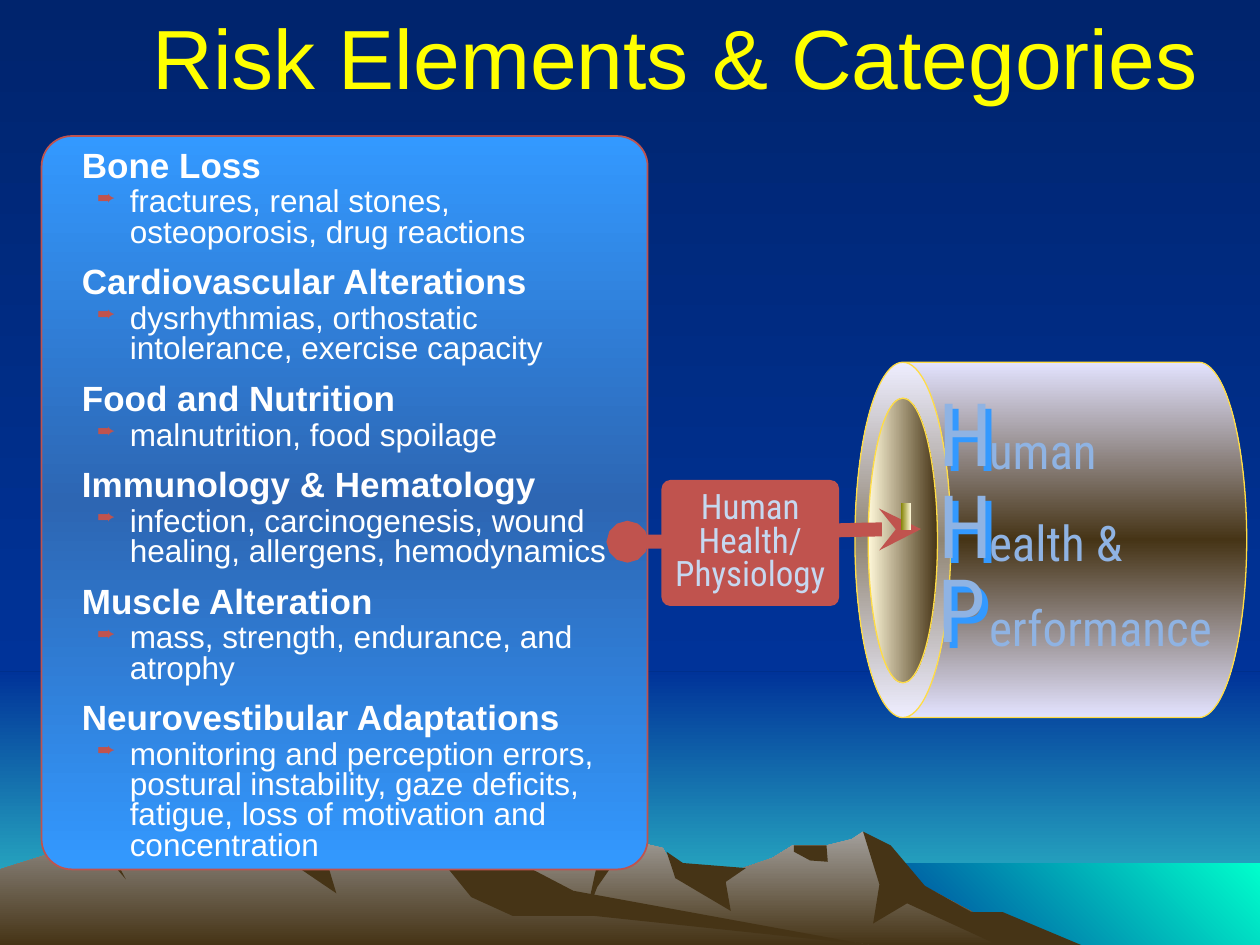
from copy import deepcopy

from pptx import Presentation
from pptx.dml.color import RGBColor
from pptx.enum.shapes import MSO_CONNECTOR, MSO_SHAPE
from pptx.enum.text import MSO_ANCHOR, PP_ALIGN
from pptx.oxml.ns import qn
from pptx.util import Emu, Pt
from lxml import etree

PX = 9144  # 100 px to the inch
WIDTH, HEIGHT = 1000, 750
SANS, CONDENSED = "Arial", "Roboto Condensed"
RED, EARTH, GOLD, CREAM = "C0534E", "463416", "FFDC45", "FFF8D9"
LETTER, LETTER_SHADOW = "8FB3E3", "3399FF"

TITLE = "Risk Elements & Categories"
RISKS = [
    ("Bone Loss", "fractures, renal stones, osteoporosis, drug reactions"),
    ("Cardiovascular Alterations", "dysrhythmias, orthostatic intolerance, exercise capacity"),
    ("Food and Nutrition", "malnutrition, food spoilage"),
    ("Immunology & Hematology", "infection, carcinogenesis, wound healing, allergens, hemodynamics"),
    ("Muscle Alteration", "mass, strength, endurance, and atrophy"),
    ("Neurovestibular Adaptations", "monitoring and perception errors, postural instability, "
     "gaze deficits, fatigue, loss of motivation and concentration"),
]
CATEGORY = ["Human Health/", "Physiology"]
# initial, its left and top, rest of the word
PROGRAM = [("H", 740, 302, "uman"), ("H", 740, 375, "ealth &"), ("P", 738, 442, "erformance")]

SKY = ["00246D", "003399"]
SCENERY = [  # box, gradient colours, clockwise angle
    ((0, 533, WIDTH, 217), ["003399", "33CCCC"], 90),
    ((0, 0, WIDTH, 533), SKY, 90),
    ((683, 685, 317, 65), ["003399", "00FFCC"], 315),
]
RIDGES = [  # gradient colours, outline
    (["A5A29F", EARTH], [
        (821, 750), (723, 698), (685, 660), (676, 666), (656, 671), (629, 671), (613, 681),
        (566, 697), (536, 690), (526, 673), (509, 669), (471, 658), (394, 685), (258, 750)]),
    (["938F8B", EARTH], [
        (690, 750), (432, 712), (354, 665), (271, 682), (212, 658), (68, 662), (35, 679),
        (0, 690), (0, 750)]),
]
SHADES = [  # dark slopes, from right to left
    [(685, 660), (698, 702), (693, 733), (720, 717), (792, 750), (858, 750), (796, 724),
     (771, 724), (734, 703), (707, 671)],
    [(529, 676), (536, 697), (580, 723), (576, 700), (592, 689), (542, 685)],
    [(630, 671), (630, 676), (643, 683), (657, 684), (656, 671)],
    [(471, 658), (473, 690), (465, 727), (474, 704), (497, 671)],
    [(354, 665), (339, 669), (374, 712), (407, 727), (472, 727), (690, 750), (455, 707),
     (411, 684)],
    [(213, 659), (208, 669), (267, 709), (261, 689), (271, 682)],
    [(109, 668), (93, 685), (100, 698), (69, 662)],
]


def px(value):
    return Emu(round(value * PX))


def color(hex_string):
    return RGBColor.from_string(hex_string)


def paint(owner, element, colors, angle=90):
    """Fill with one colour, or with an evenly stepped gradient at a clockwise angle."""
    fill = owner.fill
    if len(colors) == 1:
        fill.solid()
        fill.fore_color.rgb = color(colors[0])
        return
    fill.gradient()
    fill.gradient_angle = (360 - angle) % 360
    stop_list = next(element.iter(qn("a:gsLst")))
    for _ in colors[2:]:
        stop_list.append(deepcopy(stop_list[-1]))
    for i, (stop, hex_string) in enumerate(zip(fill.gradient_stops, colors)):
        stop.color.rgb = color(hex_string)
        stop.position = i / (len(colors) - 1)


def finish(shape, colors, angle=90, outline=None, weight=0.75):
    shape.shadow.inherit = False
    paint(shape, shape._element, colors, angle)
    if outline:
        shape.line.color.rgb = color(outline)
        shape.line.width = Pt(weight)
    else:
        shape.line.fill.background()
    return shape


def add_block(kind, box, colors, angle=90, outline=None, weight=0.75):
    shape = slide.shapes.add_shape(kind, *map(px, box))
    return finish(shape, colors, angle, outline, weight)


def set_frame(shape, margins):
    frame = shape.text_frame
    frame.word_wrap = True
    frame.vertical_anchor = MSO_ANCHOR.MIDDLE
    (frame.margin_left, frame.margin_top,
     frame.margin_right, frame.margin_bottom) = map(px, margins)
    return frame


def write(paragraph, text, size, face, hex_string, bold=False, align=PP_ALIGN.LEFT, spacing=None):
    paragraph.text = text
    paragraph.alignment = align
    if spacing:
        paragraph.line_spacing = spacing
    font = paragraph.runs[0].font
    font.size, font.name, font.bold = Pt(size), face, bold
    font.color.rgb = color(hex_string)


def add_label(box, *style, **options):
    label = slide.shapes.add_textbox(*map(px, box))
    write(set_frame(label, (5, 5, 5, 5)).paragraphs[0], *style, **options)
    return label


def add_bullet(paragraph):
    properties = paragraph._p.get_or_add_pPr()
    properties.set("marL", str(px(38)))
    properties.set("indent", str(px(-26)))
    bullet_color = etree.SubElement(properties, qn("a:buClr"))
    etree.SubElement(bullet_color, qn("a:srgbClr"), val=RED)
    etree.SubElement(properties, qn("a:buSzPct"), val="70000")
    etree.SubElement(properties, qn("a:buChar"), char="➨")


prs = Presentation()
prs.slide_width, prs.slide_height = px(WIDTH), px(HEIGHT)
slide = prs.slides.add_slide(prs.slide_layouts[6])
paint(slide.background, slide._element, SKY)

for box, colors, angle in SCENERY:
    add_block(MSO_SHAPE.RECTANGLE, box, colors, angle)
for colors, outline in RIDGES + [([EARTH], shade) for shade in SHADES]:
    builder = slide.shapes.build_freeform(*outline[0], scale=PX)
    builder.add_line_segments(outline[1:], close=True)
    finish(builder.convert_to_shape(), colors)

panel = add_block(MSO_SHAPE.ROUNDED_RECTANGLE, (33, 108, 481, 582),
                  ["3399FF", "2D66B3", "3399FF"], outline=RED, weight=1)
panel.adjustments[0] = 0.05
panel_text = set_frame(panel, (25, 5, 10, 5))
for i, (risk, effects) in enumerate(RISKS):
    heading = panel_text.add_paragraph() if i else panel_text.paragraphs[0]
    write(heading, risk, 20, SANS, "FFFFFF", bold=True)
    if i:
        heading.space_before = Pt(4)
    detail = panel_text.add_paragraph()
    detail.level = 1
    add_bullet(detail)
    write(detail, effects, 18, SANS, "FFFFFF", spacing=0.8)
    detail.space_before = detail.space_after = Pt(2)

cylinder = add_block(MSO_SHAPE.CAN, (693, 273, 282, 311), ["E3E3FF", EARTH, "E3E3FF"], 0, GOLD)
cylinder.adjustments[0] = 0.27
cylinder.rotation = 270
add_block(MSO_SHAPE.OVAL, (689, 316, 55, 226), [CREAM, EARTH], 0, GOLD)

arrow = slide.shapes.add_connector(MSO_CONNECTOR.CURVE, px(498), px(430), px(731), px(420))
arrow.line.color.rgb = color(RED)
arrow.line.width = Pt(8)
arrow_line = arrow.line._get_or_add_ln()
etree.SubElement(arrow_line, qn("a:headEnd"), type="oval")
etree.SubElement(arrow_line, qn("a:tailEnd"), type="stealth")
etree.SubElement(arrow._element.spPr, qn("a:effectLst"))

add_block(MSO_SHAPE.RECTANGLE, (715, 399, 8, 22), ["808000", CREAM], 0)
category = add_block(MSO_SHAPE.ROUNDED_RECTANGLE, (525, 381, 141, 100), [RED])
category.adjustments[0] = 0.07
category_text = set_frame(category, (0, 0, 0, 0))
category_text.text = "\n".join(CATEGORY)
for paragraph, words in zip(category_text.paragraphs, CATEGORY):
    write(paragraph, words, 20, CONDENSED, "C6D8F0", align=PP_ALIGN.CENTER, spacing=0.8)

add_label((111, 0, 850, 88), TITLE, 48, SANS, "FFFF00", align=PP_ALIGN.CENTER)
for letter, left, top, rest in PROGRAM:
    initial = add_label((left, top, 51, 89), letter, 50, CONDENSED, LETTER,
                        align=PP_ALIGN.CENTER, spacing=0.95)
    letter_effects = etree.SubElement(initial._element.spPr, qn("a:effectLst"))
    shadow = etree.SubElement(letter_effects, qn("a:outerShdw"), dist=str(px(6)), dir="2700000")
    etree.SubElement(shadow, qn("a:srgbClr"), val=LETTER_SHADOW)
    add_label((780, top + 30, 220, 55), rest, 28, CONDENSED, LETTER, spacing=0.95)

prs.save("out.pptx")
